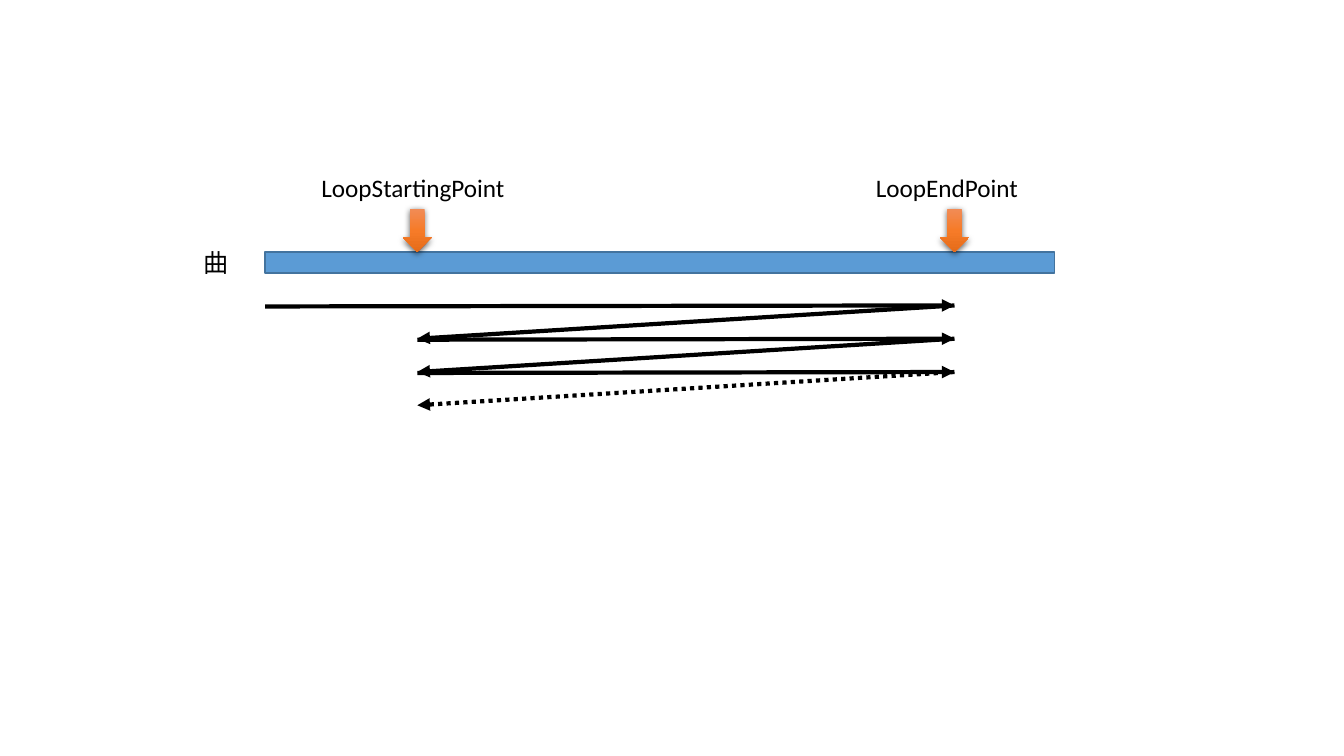
from pptx import Presentation
from pptx.dml.color import RGBColor
from pptx.enum.dml import MSO_LINE
from pptx.enum.shapes import MSO_CONNECTOR, MSO_SHAPE
from pptx.enum.text import MSO_AUTO_SIZE
from pptx.oxml import parse_xml
from pptx.oxml.ns import nsdecls, qn
from pptx.util import Pt
from lxml.etree import SubElement

BLACK = RGBColor(0x00, 0x00, 0x00)
BLUE = RGBColor(0x5B, 0x9B, 0xD5)
DARK_BLUE = RGBColor(0x43, 0x73, 0x9E)
ORANGES = {0: RGBColor(0xF1, 0x8C, 0x57),
           50: RGBColor(0xF6, 0x7B, 0x28),
           100: RGBColor(0xE5, 0x6C, 0x19)}

# Positions in points
SONG_START, SONG_END = 189.4, 753.1
LOOP_START, LOOP_END = 298.1, 681.8
SONG_TOP, SONG_HEIGHT = 180, 15.1
FIRST_PASS, PASS_STEP = 218.2, 23.76
PASSES = 3


def write_text(frame, text, font="Calibri", size=18, color=BLACK):
    span = frame.paragraphs[0].add_run()
    span.text = text
    span.font.name = font
    span.font.size = Pt(size)
    span.font.color.rgb = color
    east_asian = SubElement(span.font._element, qn("a:ea"))
    east_asian.set("typeface", font)


class LoopSlide:
    def __init__(self, page, line_width=3, line_color=BLACK):
        self.shapes = page.shapes
        self.line_width = line_width
        self.line_color = line_color

    def label(self, text, left, top, width, height=29, **style):
        box = self.shapes.add_textbox(Pt(left), Pt(top), Pt(width), Pt(height))
        box.text_frame.word_wrap = True
        box.text_frame.auto_size = MSO_AUTO_SIZE.SHAPE_TO_FIT_TEXT
        write_text(box.text_frame, text, **style)

    def bar(self, left, top, width, height):
        bar = self.shapes.add_shape(MSO_SHAPE.RECTANGLE, Pt(left), Pt(top),
                                    Pt(width), Pt(height))
        bar.shadow.inherit = False
        bar.fill.solid()
        bar.fill.fore_color.rgb = BLUE
        bar.line.color.rgb = DARK_BLUE
        bar.line.width = Pt(1)

    def marker(self, center, bottom, width=20.4, height=31):
        marker = self.shapes.add_shape(
            MSO_SHAPE.DOWN_ARROW, Pt(center - width / 2), Pt(bottom - height),
            Pt(width), Pt(height))
        marker.line.fill.background()
        marker.shadow.inherit = False
        # Three-stop gradient running downwards
        marker.fill.gradient()
        marker.fill.gradient_angle = 270
        properties = marker._element.spPr
        stops = properties.find(".//" + qn("a:gsLst"))
        stops.clear()
        for percent, color in ORANGES.items():
            stop = SubElement(stops, qn("a:gs"), pos=str(percent * 1000))
            SubElement(stop, qn("a:srgbClr"), val=str(color))
        # Soft shadow below
        properties.find(qn("a:effectLst")).append(parse_xml(
            f'<a:outerShdw {nsdecls("a")} blurRad="{Pt(4.5)}" dist="{Pt(1.5)}" '
            'dir="5400000" algn="ctr" rotWithShape="0"><a:srgbClr val="000000">'
            '<a:alpha val="63000"/></a:srgbClr></a:outerShdw>'))

    def arrow(self, x1, y1, x2, y2, dash=None):
        arrow = self.shapes.add_connector(MSO_CONNECTOR.STRAIGHT, Pt(x1), Pt(y1),
                                          Pt(x2), Pt(y2))
        arrow.line.color.rgb = self.line_color
        arrow.line.width = Pt(self.line_width)
        if dash:
            arrow.line.dash_style = dash
        properties = arrow._element.spPr
        SubElement(properties.find(qn("a:ln")), qn("a:tailEnd"), type="triangle")
        SubElement(properties, qn("a:effectLst"))


deck = Presentation()
deck.slide_width, deck.slide_height = Pt(960), Pt(540)
page = deck.slides.add_slide(deck.slide_layouts[6])
slide = LoopSlide(page)

# Song bar
slide.bar(SONG_START, SONG_TOP, SONG_END - SONG_START, SONG_HEIGHT)
slide.label("曲", 138.2, 172.8, 41, font="Noto Sans CJK JP")

# Loop points
for text, point, left, width in (
        ("LoopStartingPoint", LOOP_START, 222.5, 152),
        ("LoopEndPoint", LOOP_END, 618.5, 127.5)):
    slide.marker(point, SONG_TOP)
    slide.label(text, left, 119.5, width)

# Playback passes, each followed by a jump back; the last jump is dotted
for number in range(PASSES):
    top = FIRST_PASS + number * PASS_STEP
    start = LOOP_START if number else SONG_START
    dash = MSO_LINE.ROUND_DOT if number == PASSES - 1 else None
    slide.arrow(start, top + 0.7, LOOP_END, top)
    slide.arrow(LOOP_END, top, LOOP_START, top + PASS_STEP, dash)

deck.save("out.pptx")
